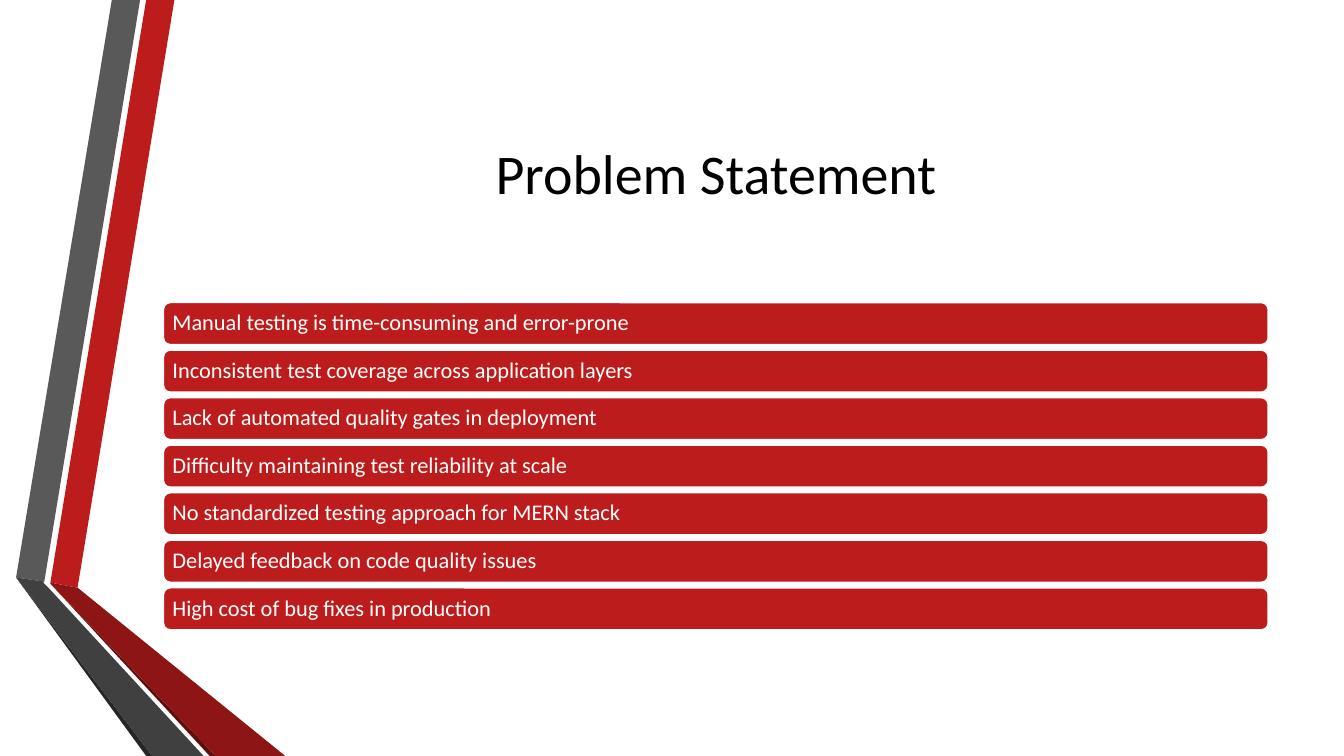
from pptx import Presentation
from pptx.dml.color import RGBColor
from pptx.enum import shapes, text
from pptx.util import Inches, Pt

RED = RGBColor(0xBC, 0x1C, 0x1C)
DARK_RED = RGBColor(0x8D, 0x15, 0x15)
DEEP_RED = RGBColor(0x5E, 0x0E, 0x0E)
GRAY = RGBColor(0x59, 0x59, 0x59)
DARK_GRAY = RGBColor(0x40, 0x40, 0x40)
DEEP_GRAY = RGBColor(0x26, 0x26, 0x26)
WHITE = RGBColor(0xFF, 0xFF, 0xFF)
BLACK = RGBColor(0, 0, 0)

FONT = "Calibri"
LEFT, WIDTH = 1.62, 10.96
FIRST_TOP, LAST_TOP, BAR_HEIGHT = 3, 5.83, 0.42
INSET = 0.07

RIBBONS = [
    (RED, [(0.5, 5.78), (0.77, 5.83), (1.73, 0), (1.45, 0)]),
    (GRAY, [(1.39, 0), (1.11, 0), (0.16, 5.73), (0.44, 5.77)]),
    (DEEP_GRAY, [(0.16, 5.73), (1.45, 7.5), (1.51, 7.5)]),
    (DEEP_RED, [(0.5, 5.79), (2.08, 7.5), (2.14, 7.5)]),
    (DARK_RED, [(0.5, 5.79), (2.14, 7.5), (2.83, 7.5), (0.77, 5.83), (0.5, 5.78)]),
    (DARK_GRAY, [(2.02, 7.5), (0.48, 5.83), (0.43, 5.78), (0.44, 5.77),
                 (0.16, 5.73), (1.51, 7.5)]),
]

PROBLEMS = [
    "Manual testing is time-consuming and error-prone",
    "Inconsistent test coverage across application layers",
    "Lack of automated quality gates in deployment",
    "Difficulty maintaining test reliability at scale",
    "No standardized testing approach for MERN stack",
    "Delayed feedback on code quality issues",
    "High cost of bug fixes in production",
]


def write_text(shape, content, *, size, color, align, line_spacing=1.0):
    frame = shape.text_frame
    frame.word_wrap = True
    frame.vertical_anchor = text.MSO_ANCHOR.MIDDLE
    paragraph = frame.paragraphs[0]
    paragraph.text = content
    paragraph.alignment = align
    paragraph.line_spacing = line_spacing
    paragraph.font.name = FONT
    paragraph.font.size = Pt(size)
    paragraph.font.color.rgb = color


def fill_shape(shape, color):
    shape.shadow.inherit = False
    shape.fill.solid()
    shape.fill.fore_color.rgb = color


def add_ribbon(slide, color, points):
    corners = [(Inches(x), Inches(y)) for x, y in points]
    builder = slide.shapes.build_freeform(*corners[0])
    builder.add_line_segments(corners[1:], close=True)
    ribbon = builder.convert_to_shape()
    fill_shape(ribbon, color)
    ribbon.line.fill.background()


def place_title(slide, content):
    title = slide.shapes.title
    title.left, title.top = Inches(LEFT), Inches(0.75)
    title.width, title.height = Inches(WIDTH), Inches(1.92)
    write_text(title, content, size=40, color=BLACK, align=text.PP_ALIGN.CENTER)


def add_problem_bar(slide, top, content):
    bar = slide.shapes.add_shape(
        shapes.MSO_SHAPE.ROUNDED_RECTANGLE,
        Inches(LEFT), Inches(top), Inches(WIDTH), Inches(BAR_HEIGHT))
    fill_shape(bar, RED)
    bar.line.color.rgb = WHITE
    bar.line.width = Pt(1.25)
    frame = bar.text_frame
    frame.margin_left = frame.margin_right = Inches(INSET)
    frame.margin_top = frame.margin_bottom = Inches(INSET)
    write_text(bar, content, size=16, color=WHITE,
               align=text.PP_ALIGN.LEFT, line_spacing=0.9)


def main():
    presentation = Presentation()
    presentation.slide_width = Inches(13.33)
    presentation.slide_height = Inches(7.5)
    slide = presentation.slides.add_slide(presentation.slide_layouts[5])

    for color, points in RIBBONS:
        add_ribbon(slide, color, points)
    place_title(slide, "Problem Statement")
    pitch = (LAST_TOP - FIRST_TOP) / (len(PROBLEMS) - 1)
    for index, problem in enumerate(PROBLEMS):
        add_problem_bar(slide, FIRST_TOP + index * pitch, problem)

    presentation.save("out.pptx")


if __name__ == "__main__":
    main()
